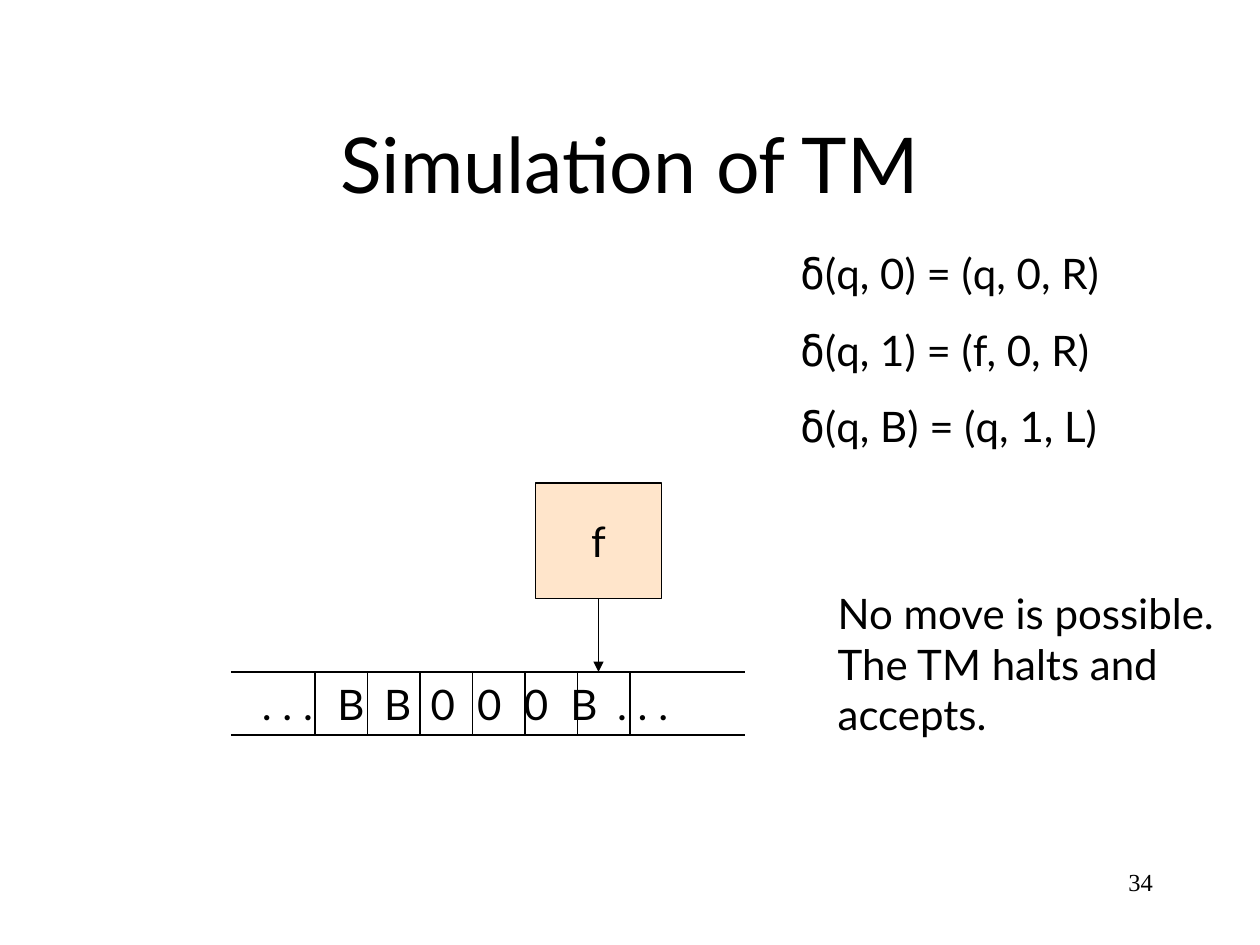
from lxml.etree import SubElement
from pptx import Presentation
from pptx.dml.color import RGBColor
from pptx.enum.shapes import MSO_CONNECTOR, MSO_SHAPE
from pptx.enum.text import MSO_ANCHOR, PP_ALIGN
from pptx.oxml.ns import qn
from pptx.util import Inches, Pt

deck = Presentation()
deck.slide_width, deck.slide_height = Inches(10), Inches(7.5)
column, row = deck.slide_width / 24, deck.slide_height / 90
page = deck.slides.add_slide(deck.slide_layouts[5])
shapes = page.shapes


def place(left, top, width, height):
    return [round(left * column), round(top * row), round(width * column), round(height * row)]


def style(item, color="000000", size=24, font="Lato"):
    item.font.name, item.font.size = font, Pt(size)
    item.font.color.rgb = RGBColor.from_string(color)


title = shapes.title
title.left, title.top, title.width, title.height = place(1.8, 8, 20.4, 15)
title.text_frame.text = "Simulation of TM"
title.text_frame.vertical_anchor = MSO_ANCHOR.MIDDLE
title.text_frame.paragraphs[0].alignment = PP_ALIGN.CENTER
style(title.text_frame.paragraphs[0].runs[0], size=44)

number_box = shapes.add_textbox(*place(17.2, 82, 5, 6))
number_box.text_frame.text = "34"
number_box.text_frame.paragraphs[0].alignment = PP_ALIGN.RIGHT
style(number_box.text_frame.paragraphs[0].runs[0], size=14, font="Times New Roman")

rules_box = shapes.add_textbox(*place(15, 23, 7.6, 20.6))
rules_box.text_frame.word_wrap = True
rules = ["(q, 0) = (q, 0, R)", "(q, 1) = (f, 0, R)", "(q, B) = (q, 1, L)"]
for index, rule in enumerate(rules):
    para = rules_box.text_frame.paragraphs[0]
    if index:
        para = rules_box.text_frame.add_paragraph()
        para.space_before = Pt(15)
    for text, font in (("δ", "DejaVu Sans Mono"), (rule, "Lato")):
        span = para.add_run()
        span.text = text
        style(span, font=font)

head = shapes.add_shape(MSO_SHAPE.RECTANGLE, *place(10.2, 46, 2.4, 11))
head.shadow.inherit = False
head.fill.solid()
head.fill.fore_color.rgb = RGBColor.from_string("FFCC99")
tint = head.fill._xPr.find(qn("a:solidFill")).find(qn("a:srgbClr"))
SubElement(tint, qn("a:alpha"), val="50000")
head.line.color.rgb = RGBColor.from_string("000000")
head.line.width = Pt(0.75)
head.text_frame.text = "f"
head.text_frame.vertical_anchor = MSO_ANCHOR.MIDDLE
head.text_frame.paragraphs[0].alignment = PP_ALIGN.CENTER
style(head.text_frame.paragraphs[0].runs[0])

tape_top, tape_bottom = 64, 70
lines = [(4.4, edge, 14.2, edge) for edge in (tape_top, tape_bottom)]
lines += [(cell, tape_top, cell, tape_bottom) for cell in range(6, 13)]
lines.append((11.4, 57, 11.4, tape_top))
for x1, y1, x2, y2 in lines:
    line = shapes.add_connector(MSO_CONNECTOR.STRAIGHT, round(x1 * column), round(y1 * row),
                                round(x2 * column), round(y2 * row))
    line.line.color.rgb = RGBColor.from_string("000000")
    line.line.width = Pt(0.75)
    SubElement(line._element.spPr, qn("a:effectLst"))
pointer = line
pointer.begin_connect(head, 2)
SubElement(pointer.line._get_or_add_ln(), qn("a:tailEnd"), type="triangle")

tape_box = shapes.add_textbox(*place(4.75, tape_top, 8.45, 6))
tape_box.text_frame.word_wrap = True
symbols = [". . .", "B", "B", "0", "0", "0", "B", ". . ."]
tape_box.text_frame.text = "\t".join(symbols)
para = tape_box.text_frame.paragraphs[0]
tabs = SubElement(para._p.get_or_add_pPr(), qn("a:tabLst"))
for index in range(len(symbols) - 1):
    SubElement(tabs, qn("a:tab"), pos=str(Inches(0.6 + 0.37 * index)), algn="l")
style(para.runs[0])

result_box = shapes.add_textbox(*place(15.72, 55.4, 8.18, 15.6))
result_box.text_frame.text = "No move is possible.\nThe TM halts and\naccepts."
for para in result_box.text_frame.paragraphs:
    style(para.runs[0])

deck.save("out.pptx")
